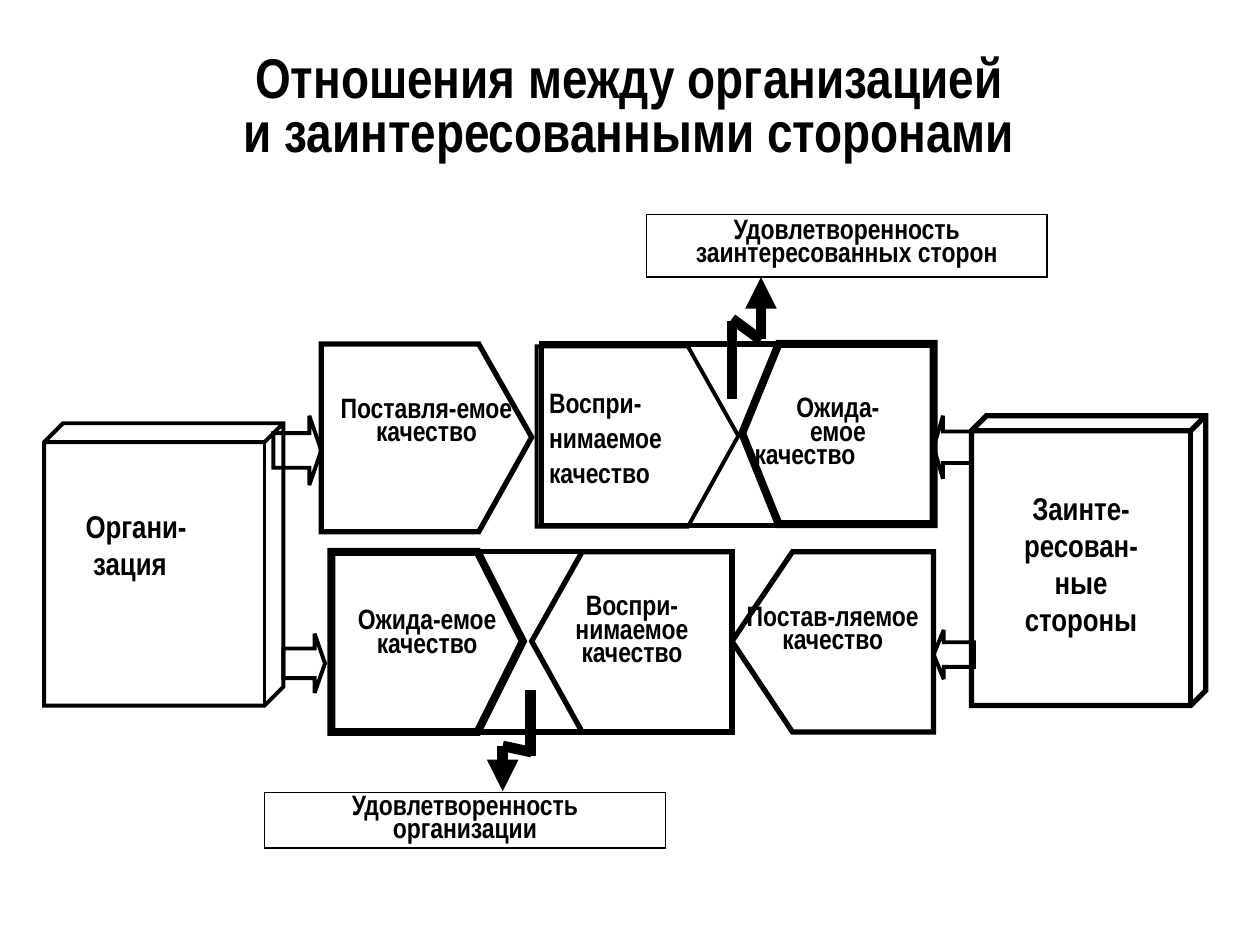
from dataclasses import dataclass
from typing import Optional, Union

from lxml.etree import SubElement
from pptx import Presentation
from pptx.dml.color import RGBColor
from pptx.enum.shapes import MSO_CONNECTOR as Conn, MSO_SHAPE as Shp
from pptx.enum.text import MSO_ANCHOR as Anchor, PP_ALIGN as Align
from pptx.oxml.ns import qn
from pptx.util import Emu, Pt

PX_PER_INCH = 100
SCALE = 914400 // PX_PER_INCH
FONT = "Arial Narrow"
BLACK = "000000"
TIGHT = 0.7


@dataclass(frozen=True)
class Para:
    text: str
    align: Align = Align.CENTER
    before: float = 0
    spacing: Union[float, Pt] = TIGHT
    indent: int = 0


@dataclass(frozen=True)
class Label:
    paras: tuple[Para, ...]
    size: int = 16
    anchor: Anchor = Anchor.TOP
    top: int = 5
    left: int = 10


@dataclass(frozen=True)
class Block:
    geom: Shp
    x: int
    y: int
    w: int
    h: int
    line: float
    adj: tuple[float, ...] = ()
    label: Optional[Label] = None


@dataclass(frozen=True)
class Pointer:
    flat: int
    shoulder: int
    tip: int
    y: int
    h: int
    line: float
    label: Label


@dataclass(frozen=True)
class Zigzag:
    points: tuple[tuple[int, int, int, int], ...]


def px(n: int) -> Emu:
    return Emu(n * SCALE)


def color(hex_str: str) -> RGBColor:
    return RGBColor.from_string(hex_str)


def write(tf, label: Label) -> None:
    tf.word_wrap = True
    tf.vertical_anchor = label.anchor
    tf.margin_left, tf.margin_right = px(label.left), px(10)
    tf.margin_top, tf.margin_bottom = px(label.top), px(5)
    for i, para in enumerate(label.paras):
        p = tf.add_paragraph() if i else tf.paragraphs[0]
        p.alignment = para.align
        p.line_spacing = para.spacing
        p.space_before = Pt(para.before)
        if para.indent:
            p._p.get_or_add_pPr().set("marL", str(px(para.indent)))
        for j, line in enumerate(para.text.split("\n")):
            if j:
                p.add_line_break()
            r = p.add_run()
            r.text = line
            r.font.name = FONT
            r.font.size = Pt(label.size)
            r.font.bold = True
            r.font.color.rgb = color(BLACK)


def stroke(sp, width: float) -> None:
    sp.line.width = Pt(width)
    sp.line.fill.solid()
    sp.line.fill.fore_color.rgb = color(BLACK)
    SubElement(sp.line._get_or_add_ln(), qn("a:miter"), lim="800000")


def finish(sp, width: float, label: Optional[Label]) -> None:
    sp.shadow.inherit = False
    sp.fill.background()
    stroke(sp, width)
    if label:
        write(sp.text_frame, label)


def draw_block(s, b: Block) -> None:
    sp = s.shapes.add_shape(b.geom, px(b.x), px(b.y), px(b.w), px(b.h))
    for i, value in enumerate(b.adj):
        sp.adjustments[i] = value
    finish(sp, b.line, b.label)


def draw_pointer(s, b: Pointer) -> None:
    bottom = b.y + b.h
    fb = s.shapes.build_freeform(b.flat, b.y, SCALE)
    fb.add_line_segments([(b.shoulder, b.y), (b.tip, b.y + b.h // 2),
                          (b.shoulder, bottom), (b.flat, bottom)])
    finish(fb.convert_to_shape(), b.line, b.label)


def draw_zigzag(s, z: Zigzag) -> None:
    for i, ends in enumerate(z.points):
        cn = s.shapes.add_connector(Conn.STRAIGHT, *map(px, ends))
        stroke(cn, 6)
        if i == len(z.points) - 1:
            SubElement(cn.line._get_or_add_ln(), qn("a:tailEnd"), type="triangle")
        SubElement(cn._element.spPr, qn("a:effectLst"))


def stack(*lines: str) -> tuple[Para, ...]:
    return tuple(Para(line) for line in lines)


TITLE = Label((Para("Отношения между организацией\nи заинтересованными сторонами",
                    spacing=Pt(31)),), 32, Anchor.MIDDLE)

STAKEHOLDERS = Label(tuple(Para(t, before=6 if i else 0) for i, t in enumerate(
    ("Заинте-", "ресован-", "ные", "стороны"))), 18, Anchor.MIDDLE)
ORGANIZATION = Label((Para("Органи-", Align.LEFT),
                      Para("зация", Align.LEFT, before=6, indent=6)),
                     18, top=60, left=33)
STAKEHOLDER_SATISFACTION = Label(stack("Удовлетворенность заинтересованных сторон"))
ORGANIZATION_SATISFACTION = Label(
    tuple(Para(t, spacing=Pt(13)) for t in ("Удовлетворенность", "организации")),
    anchor=Anchor.MIDDLE, top=7)

ARROW = (0.5, 0.25)
BLOCKS = [
    Block(Shp.CUBE, 771, 330, 186, 230, 3, (0.064,), STAKEHOLDERS),
    Block(Shp.CUBE, 35, 336, 190, 224, 2.25, (0.079,), ORGANIZATION),
    Block(Shp.LEFT_ARROW, 741, 500, 32, 39, 2.25, ARROW),
    Block(Shp.LEFT_ARROW, 741, 330, 30, 50, 2.25, ARROW),
    Block(Shp.RIGHT_ARROW, 225, 503, 33, 47, 2.25, ARROW),
    Block(Shp.RIGHT_ARROW, 217, 330, 38, 55, 2.25, ARROW),
    Block(Shp.RECTANGLE, 430, 273, 311, 144, 3),
    Block(Shp.RECTANGLE, 263, 438, 318, 143, 3),
    Block(Shp.RECTANGLE, 513, 170, 318, 50, 0.75, label=STAKEHOLDER_SATISFACTION),
    Block(Shp.RECTANGLE, 210, 629, 318, 44, 0.75, label=ORGANIZATION_SATISFACTION),
]

POINTERS = [
    Pointer(255, 380, 422, 273, 149, 3,
            Label(stack("Поставля-емое", "качество"), top=44)),
    Pointer(426, 546, 586, 275, 143, 2.25,
            Label((Para("Воспри-нимаемое качество", Align.LEFT, spacing=Pt(20)),),
                  anchor=Anchor.MIDDLE)),
    Pointer(741, 618, 589, 273, 143, 4.5,
            Label(stack("Ожида-", "емое") + (Para("качество", Align.LEFT),),
                  anchor=Anchor.MIDDLE)),
    Pointer(263, 379, 415, 438, 143, 4.5,
            Label(stack("Ожида-емое", "качество"), top=47)),
    Pointer(581, 462, 422, 438, 143, 3,
            Label(stack("Воспри-нимаемое", "качество"), top=36)),
    Pointer(741, 629, 581, 438, 143, 3,
            Label(stack("Постав-ляемое качество"), top=44)),
]

ZIGZAGS = [
    Zigzag(((581, 317, 581, 255), (581, 253, 604, 270), (604, 269, 604, 220))),
    Zigzag(((421, 548, 421, 600), (422, 597, 399, 592), (399, 592, 399, 628))),
]


def main() -> None:
    prs = Presentation()
    prs.slide_width, prs.slide_height = px(1000), px(750)
    s = prs.slides.add_slide(prs.slide_layouts[6])
    tb = s.shapes.add_textbox(px(27), px(36), px(945), px(102))
    write(tb.text_frame, TITLE)
    for block in BLOCKS:
        draw_block(s, block)
    for pointer in POINTERS:
        draw_pointer(s, pointer)
    for zigzag in ZIGZAGS:
        draw_zigzag(s, zigzag)
    prs.save("out.pptx")


if __name__ == "__main__":
    main()
